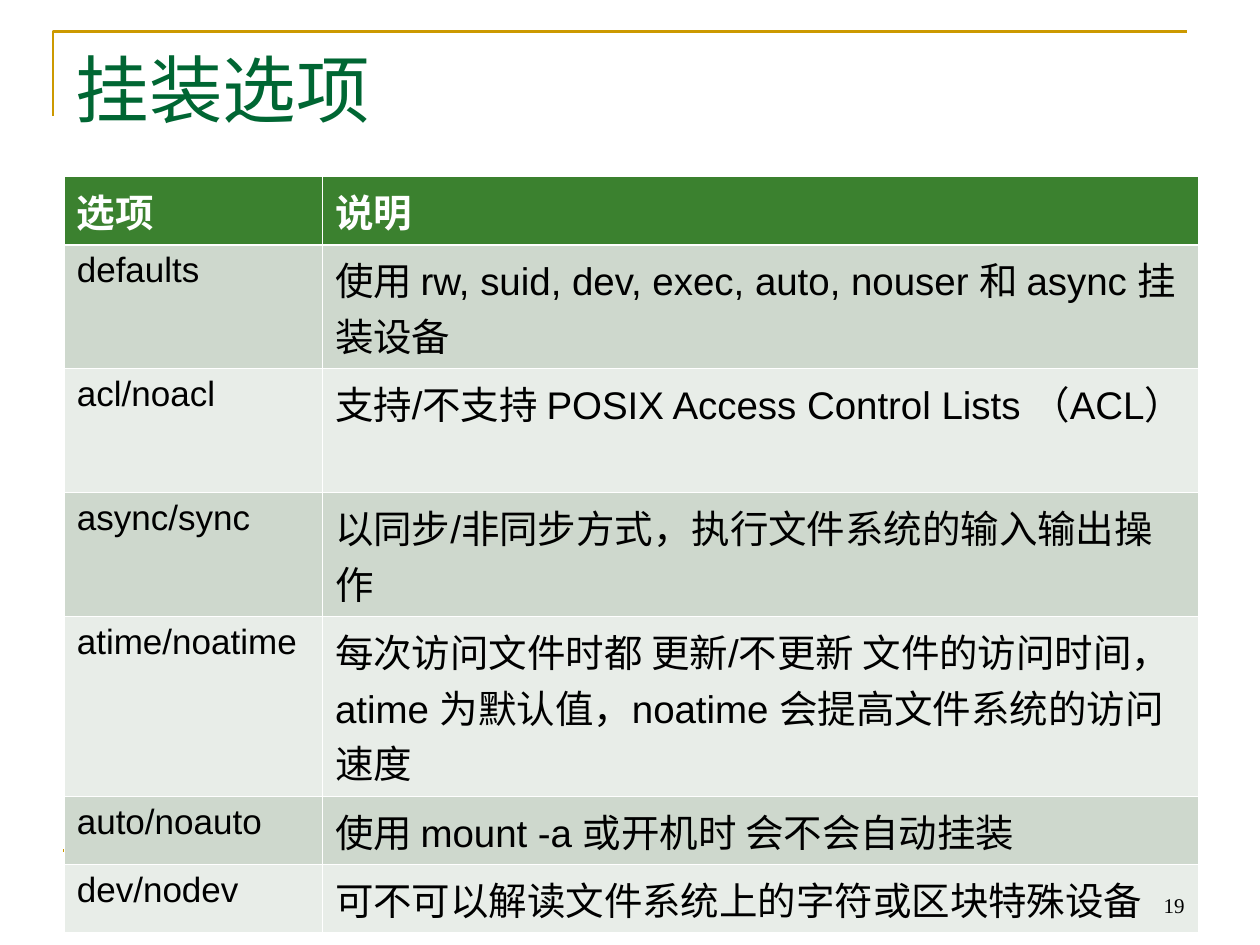
from lxml import etree
from pptx import Presentation
from pptx.dml.color import RGBColor
from pptx.enum.shapes import MSO_CONNECTOR
from pptx.enum.text import MSO_ANCHOR, PP_ALIGN
from pptx.oxml.ns import qn
from pptx.util import Inches, Pt

STRAIGHT = MSO_CONNECTOR.STRAIGHT
TOP, BOTTOM = MSO_ANCHOR.TOP, MSO_ANCHOR.BOTTOM
LEFT, RIGHT = PP_ALIGN.LEFT, PP_ALIGN.RIGHT

COLORS = {
    "gold": "CC9900",
    "title": "006633",
    "header": "3B812F",
    "odd_row": "CED8CD",
    "even_row": "E8EDE8",
    "white": "FFFFFF",
    "black": "000000",
}
OPTIONS = [
    ("选项", "说明", 0.47),
    ("defaults", "使用 rw, suid, dev, exec, auto, nouser 和 async 挂装设备", 0.83),
    ("acl/noacl", "支持/不支持 POSIX Access Control Lists （ACL）", 0.83),
    ("async/sync", "以同步/非同步方式，执行文件系统的输入输出操作", 0.83),
    ("atime/noatime", "每次访问文件时都 更新/不更新 文件的访问时间，"
     "atime 为默认值，noatime 会提高文件系统的访问速度", 1.2),
    ("auto/noauto", "使用 mount -a 或开机时 会不会自动挂装", 0.47),
    ("dev/nodev", "可不可以解读文件系统上的字符或区块特殊设备", 0.47),
]
COLUMN_WIDTHS = (2.05, 6.95)


def add_text(frame, text, size, font_name, color, bold=False, align=LEFT):
    paragraph = frame.paragraphs[0]
    paragraph.alignment = align
    run = paragraph.add_run()
    run.text = text
    run.font.size = Pt(size)
    run.font.name = font_name
    run.font.bold = bold
    run.font.color.rgb = RGBColor.from_string(COLORS[color])


def add_border(cell, side, width):
    """Draw a white line on one side of a cell; call before filling the cell."""
    border = etree.SubElement(cell._tc.get_or_add_tcPr(), qn(f"a:ln{side}"), w=str(Pt(width)))
    fill = etree.SubElement(border, qn("a:solidFill"))
    etree.SubElement(fill, qn("a:srgbClr"), val=COLORS["white"])


prs = Presentation()
prs.slide_width, prs.slide_height = Inches(10), Inches(7.5)
W, H = prs.slide_width, prs.slide_height
slide = prs.slides.add_slide(prs.slide_layouts[5])
shapes = slide.shapes
gold = RGBColor.from_string(COLORS["gold"])

# Title with its corner rule
title = shapes.title
title.left, title.top = int(W * 0.05), int(H * 0.04)
title.width, title.height = int(W * 0.9), Inches(1.25)
title.text_frame.vertical_anchor = TOP
add_text(title.text_frame, "挂装选项", 42, "Times New Roman", "title")

corner_left, corner_top = Inches(0.42), Inches(0.25)
builder = shapes.build_freeform(corner_left, Inches(0.92))
builder.add_line_segments(
    [(corner_left, corner_top), (Inches(9.42), corner_top)], close=False)
corner_rule = builder.convert_to_shape()
corner_rule.shadow.inherit = False
corner_rule.fill.background()

footer_rule = shapes.add_connector(
    STRAIGHT, int(W * 0.05), int(H * 0.9), int(W * 0.95), int(H * 0.9))
etree.SubElement(footer_rule._element.spPr, qn("a:effectLst"))
for rule in (corner_rule, footer_rule):
    rule.line.color.rgb = gold
    rule.line.width = Pt(1.5)

# Mount options
table = shapes.add_table(
    len(OPTIONS), len(COLUMN_WIDTHS), Inches(0.51), Inches(1.4),
    Inches(sum(COLUMN_WIDTHS)), Inches(sum(height for _, _, height in OPTIONS))).table
for column, width in zip(table.columns, COLUMN_WIDTHS):
    column.width = Inches(width)

for row, (option, meaning, height) in enumerate(OPTIONS):
    table.rows[row].height = Inches(height)
    is_header = row == 0
    row_fill = "header" if is_header else ("even_row", "odd_row")[row % 2]
    for col, text in enumerate((option, meaning)):
        cell = table.cell(row, col)
        for side in "LRTB":
            below_header = (row, side) in ((0, "B"), (1, "T"))
            add_border(cell, side, 1.47 if below_header else 0.45)
        cell.fill.solid()
        cell.fill.fore_color.rgb = RGBColor.from_string(COLORS[row_fill])
        add_text(cell.text_frame, text, 22 if is_header or col else 20, "Arial",
                 "white" if is_header else "black", bold=is_header)

# Page number
page_number = shapes.add_textbox(Inches(7.17), Inches(6.83), Inches(2.33), Inches(0.5))
page_number.text_frame.word_wrap = True
page_number.text_frame.vertical_anchor = BOTTOM
add_text(page_number.text_frame, "19", 12, "Times New Roman", "black", align=RIGHT)

prs.save("out.pptx")
